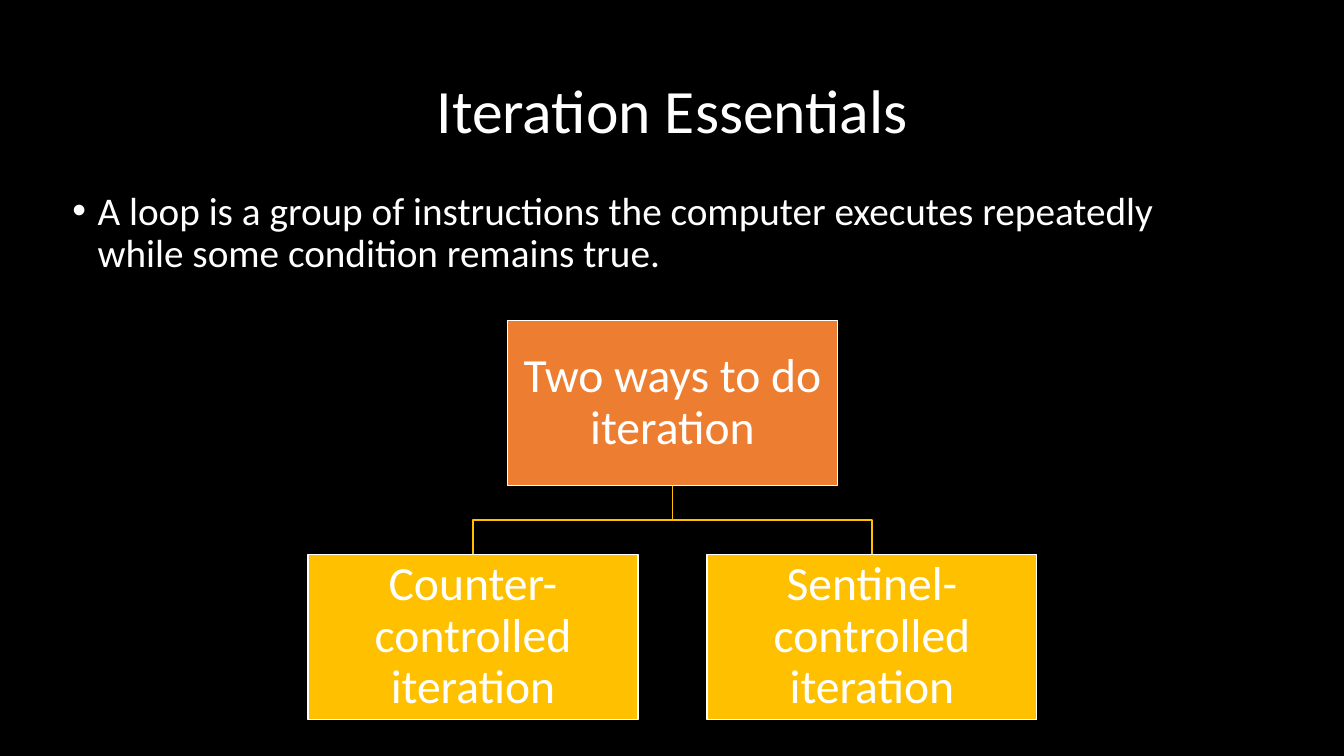
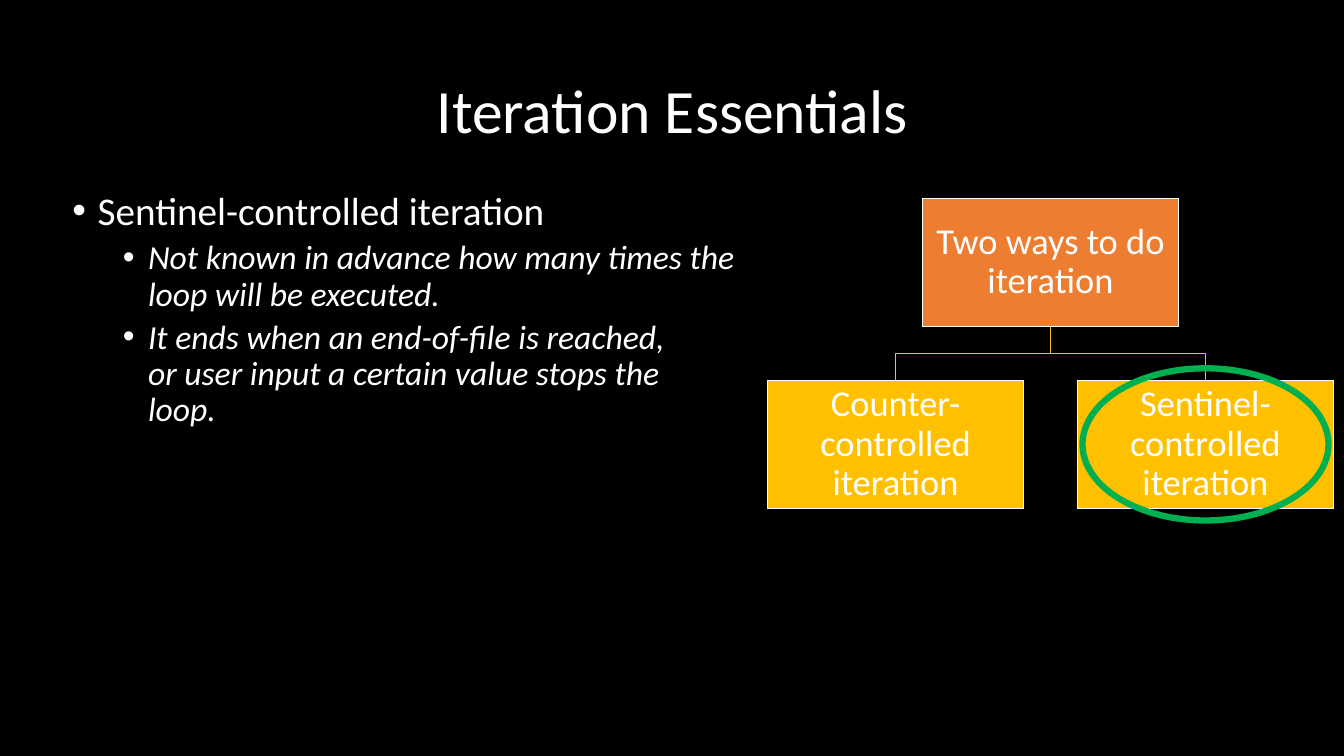
from lxml import etree
from pptx import Presentation
from pptx.dml.color import RGBColor
from pptx.enum import shapes, text
from pptx.oxml import ns
from pptx.util import Inches, Pt

BLACK = RGBColor(0x00, 0x00, 0x00)
WHITE = RGBColor(0xFF, 0xFF, 0xFF)
ORANGE = RGBColor(0xED, 0x7D, 0x31)
GOLD = RGBColor(0xFF, 0xC0, 0x00)
GREEN = RGBColor(0x00, 0xB0, 0x50)
FONT = "Calibri"

TITLE = "Iteration Essentials"
ROOT = "Two ways to do iteration"
WAYS = ["Counter-controlled iteration", "Sentinel-controlled iteration"]

LEVELS = [
    {"size": 28, "indent": 0.25, "before": 10, "italic": False},
    {"size": 24, "indent": 0.75, "before": 5, "italic": True},
]
HANGING = 0.25
GAP_RATIO = 0.21

SLIDES = [
    {
        "bullets": [
            (0, "A loop is a group of instructions the computer executes repeatedly "
                "while some condition remains true."),
        ],
        "tree": {"center": 6.67, "top": 3.18, "width": 3.27, "size": 34},
        "circled": None,
    },
    {
        "bullets": [
            (0, "Sentinel-controlled iteration"),
            (1, "Not known in advance how many times the\vloop will be executed."),
            (1, "It ends when an end-of-file is reached, \v"
                "or user input a certain value stops the\vloop."),
        ],
        "tree": {"center": 10.42, "top": 1.97, "width": 2.54, "size": 26},
        "circled": 1,
    },
]


def style_paragraph(paragraph, size, italic=False):
    paragraph.line_spacing = 0.9
    for run in paragraph.runs:
        run.font.name = FONT
        run.font.size = Pt(size)
        run.font.italic = italic
        run.font.color.rgb = WHITE


def add_frame(slide, left, top, width, height):
    box = slide.shapes.add_textbox(Inches(left), Inches(top), Inches(width), Inches(height))
    box.text_frame.word_wrap = True
    return box.text_frame


def add_title(slide):
    frame = add_frame(slide, 0.92, 0.4, 11.5, 1.45)
    frame.vertical_anchor = text.MSO_ANCHOR.MIDDLE
    frame.text = TITLE
    heading = frame.paragraphs[0]
    heading.alignment = text.PP_ALIGN.CENTER
    style_paragraph(heading, 44)


def add_bullets(slide, bullets):
    frame = add_frame(slide, 0.62, 1.85, 11.8, 4.91)
    for index, (level, words) in enumerate(bullets):
        bullet = frame.add_paragraph() if index else frame.paragraphs[0]
        look = LEVELS[level]
        bullet.text = words
        bullet.level = level
        bullet.space_before = Pt(look["before"])
        style_paragraph(bullet, look["size"], look["italic"])
        properties = bullet._p.get_or_add_pPr()
        properties.set("marL", str(Inches(look["indent"])))
        properties.set("indent", str(-Inches(HANGING)))
        etree.SubElement(properties, ns.qn("a:buFont")).set("typeface", "Arial")
        etree.SubElement(properties, ns.qn("a:buChar")).set("char", "•")


def add_box(slide, label, center, top, width, size, color):
    box = slide.shapes.add_shape(
        shapes.MSO_SHAPE.RECTANGLE,
        Inches(center - width / 2), Inches(top), Inches(width), Inches(width / 2))
    box.shadow.inherit = False
    box.fill.solid()
    box.fill.fore_color.rgb = color
    box.line.color.rgb = WHITE
    box.line.width = Pt(1)
    frame = box.text_frame
    frame.word_wrap = True
    frame.vertical_anchor = text.MSO_ANCHOR.MIDDLE
    frame.margin_left = frame.margin_right = Inches(0.02)
    frame.margin_top = frame.margin_bottom = Inches(0.02)
    frame.text = label
    frame.paragraphs[0].alignment = text.PP_ALIGN.CENTER
    style_paragraph(frame.paragraphs[0], size)


def add_branch(slide, start_x, start_y, end_x, end_y):
    middle = (start_y + end_y) / 2
    corners = [(start_x, middle), (end_x, middle), (end_x, end_y)]
    builder = slide.shapes.build_freeform(Inches(start_x), Inches(start_y))
    builder.add_line_segments([(Inches(x), Inches(y)) for x, y in corners], close=False)
    branch = builder.convert_to_shape()
    branch.shadow.inherit = False
    branch.fill.background()
    branch.line.color.rgb = GOLD
    branch.line.width = Pt(1)


def add_circle(slide, center, middle):
    width, height = 2.44, 1.51
    circle = slide.shapes.add_shape(
        shapes.MSO_SHAPE.OVAL,
        Inches(center - width / 2), Inches(middle - height / 2), Inches(width), Inches(height))
    circle.shadow.inherit = False
    circle.fill.background()
    circle.line.color.rgb = GREEN
    circle.line.width = Pt(4.5)


def add_tree(slide, center, top, width, size, circled):
    height = width / 2
    gap = width * GAP_RATIO
    root_bottom = top + height
    ways_top = root_bottom + gap
    way_centers = [center + (index - (len(WAYS) - 1) / 2) * (width + gap)
                   for index in range(len(WAYS))]
    for way_center in reversed(way_centers):
        add_branch(slide, center, root_bottom, way_center, ways_top)
    add_box(slide, ROOT, center, top, width, size, ORANGE)
    for way, way_center in zip(WAYS, way_centers):
        add_box(slide, way, way_center, ways_top, width, size, GOLD)
    if circled is not None:
        add_circle(slide, way_centers[circled], ways_top + height / 2)


def main():
    deck = Presentation()
    deck.slide_width = Inches(13.33)
    deck.slide_height = Inches(7.5)
    backdrop = deck.slide_master.background.fill
    backdrop.solid()
    backdrop.fore_color.rgb = BLACK
    for content in SLIDES:
        slide = deck.slides.add_slide(deck.slide_layouts[6])
        add_title(slide)
        add_bullets(slide, content["bullets"])
        add_tree(slide, **content["tree"], circled=content["circled"])
    deck.save("out.pptx")


if __name__ == "__main__":
    main()
